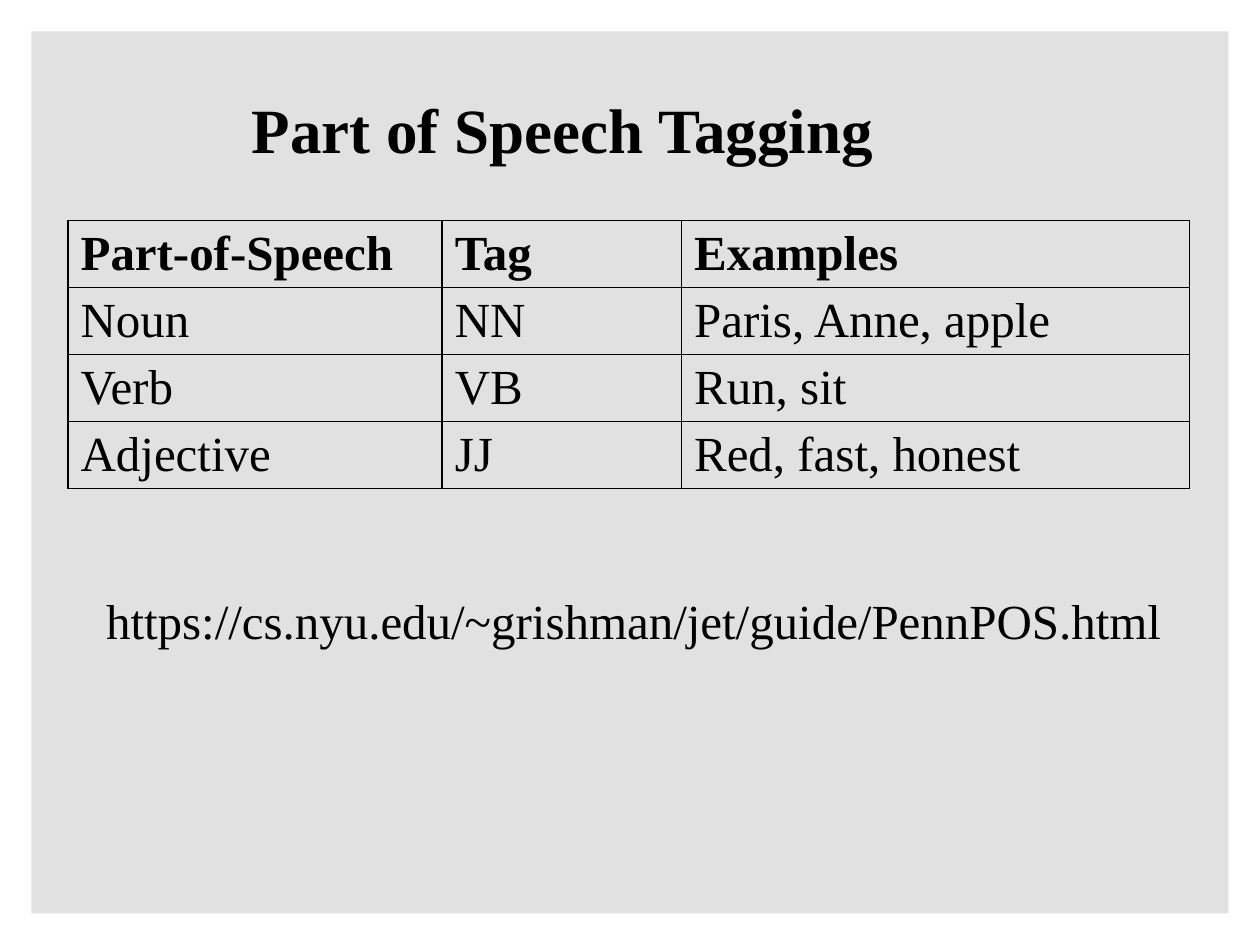
from dataclasses import dataclass

from lxml import etree
from pptx import Presentation
from pptx.dml.color import RGBColor
from pptx.enum.shapes import MSO_SHAPE
from pptx.enum.text import MSO_ANCHOR, PP_ALIGN
from pptx.oxml.ns import qn
from pptx.util import Pt

RECT = MSO_SHAPE.RECTANGLE
TOP, MIDDLE = MSO_ANCHOR.TOP, MSO_ANCHOR.MIDDLE
CENTER, LEFT = PP_ALIGN.CENTER, PP_ALIGN.LEFT
BLACK = RGBColor(0x00, 0x00, 0x00)
PANEL_GRAY = RGBColor(0xE1, 0xE1, 0xE1)
FONT = "Times New Roman"
BODY_SIZE = 28
COLUMN_WIDTHS = (213.8, 136.8, 290.2)
ROW_HEIGHT = 38.3
ROWS = (
    ("Part-of-Speech", "Tag", "Examples"),
    ("Noun", "NN", "Paris, Anne, apple"),
    ("Verb", "VB", "Run, sit"),
    ("Adjective", "JJ", "Red, fast, honest"),
)


@dataclass(frozen=True)
class Label:
    text: str
    left: float
    top: float
    width: float
    height: float
    size: float
    bold: bool
    anchor: MSO_ANCHOR


LABELS = (
    Label("Part of Speech Tagging", 36.7, 34.6, 569.5, 77, 36, True, MIDDLE),
    Label("https://cs.nyu.edu/~grishman/jet/guide/PennPOS.html",
          36.7, 334.1, 650.9, 41, BODY_SIZE, False, TOP),
)


def write(tf, text: str, size: float, bold: bool, align: PP_ALIGN) -> None:
    p = tf.paragraphs[0]
    p.text = text
    p.alignment = align
    p.font.name = FONT
    p.font.size = Pt(size)
    p.font.bold = bold
    p.font.color.rgb = BLACK


def add_panel(s) -> None:
    sp = s.shapes.add_shape(RECT, Pt(18), Pt(18), Pt(684), Pt(504))
    sp.shadow.inherit = False
    sp.fill.solid()
    sp.fill.fore_color.rgb = PANEL_GRAY
    sp.line.fill.background()


def add_label(s, label: Label) -> None:
    sp = s.shapes.add_textbox(Pt(label.left), Pt(label.top), Pt(label.width), Pt(label.height))
    tf = sp.text_frame
    tf.word_wrap = True
    tf.vertical_anchor = label.anchor
    write(tf, label.text, label.size, label.bold, CENTER)


def add_borders(cell) -> None:
    tc_pr = cell._tc.get_or_add_tcPr()
    for i, side in enumerate(("a:lnL", "a:lnR", "a:lnT", "a:lnB")):
        ln = etree.Element(qn(side), w=str(Pt(1)))
        fill = etree.SubElement(ln, qn("a:solidFill"))
        etree.SubElement(fill, qn("a:srgbClr"), val=str(BLACK))
        tc_pr.insert(i, ln)


def add_tag_table(s) -> None:
    table = s.shapes.add_table(
        len(ROWS), len(COLUMN_WIDTHS), Pt(38.9), Pt(126),
        Pt(sum(COLUMN_WIDTHS)), Pt(ROW_HEIGHT * len(ROWS)),
    ).table
    table.horz_banding = False
    for column, width in zip(table.columns, COLUMN_WIDTHS):
        column.width = Pt(width)
    for i, texts in enumerate(ROWS):
        table.rows[i].height = Pt(ROW_HEIGHT)
        for j, text in enumerate(texts):
            cell = table.cell(i, j)
            cell.fill.background()
            add_borders(cell)
            write(cell.text_frame, text, BODY_SIZE, i == 0, LEFT)


def main() -> None:
    prs = Presentation()
    prs.slide_width, prs.slide_height = Pt(720), Pt(540)
    s = prs.slides.add_slide(prs.slide_layouts[6])
    add_panel(s)
    add_tag_table(s)
    for label in LABELS:
        add_label(s, label)
    prs.save("out.pptx")


if __name__ == "__main__":
    main()
